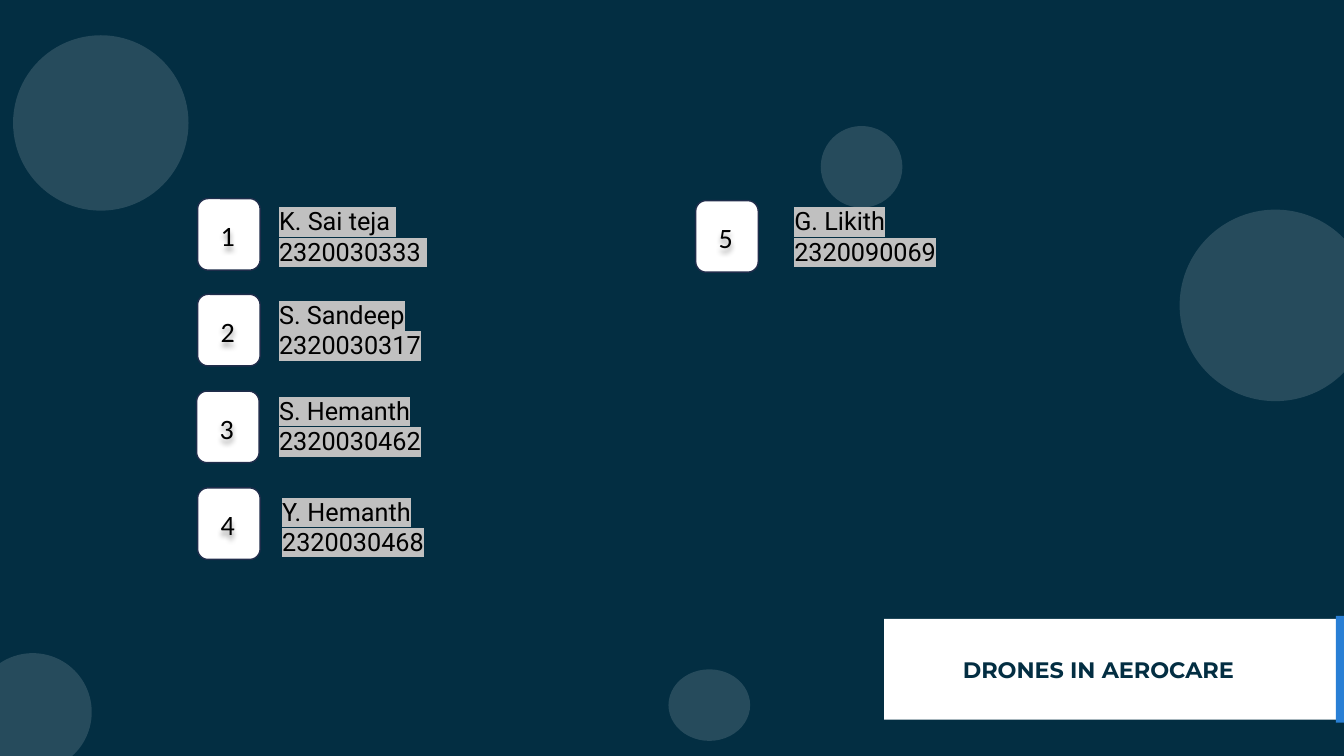
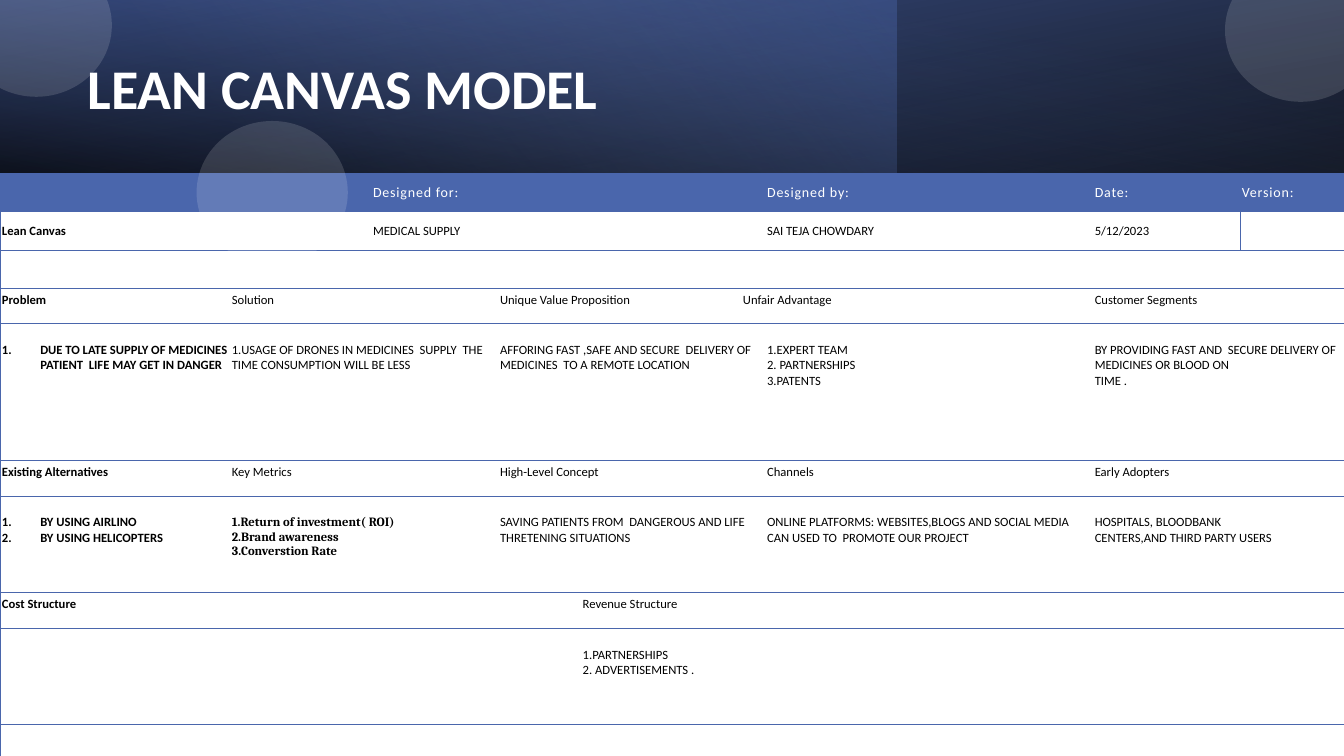
from dataclasses import dataclass
from typing import Optional

from lxml.etree import SubElement
from pptx import Presentation
from pptx.dml.color import RGBColor
from pptx.enum.shapes import MSO_SHAPE
from pptx.enum.text import MSO_ANCHOR
from pptx.oxml.ns import qn
from pptx.shapes.autoshape import Shape
from pptx.slide import Slide
from pptx.table import _Cell
from pptx.text.text import TextFrame
from pptx.util import Inches, Pt


@dataclass(frozen=True)
class Theme:
    navy: str = "032E42"
    outline: str = "202D4B"
    accent: str = "297FD5"
    blue: str = "4A66AC"
    deep_blue: str = "384C81"
    pale_blue: str = "90A2CF"
    white: str = "FFFFFF"
    black: str = "000000"
    highlight: str = "C0C0C0"
    body: str = "Calibri"
    names: str = "Roboto"
    banner: str = "Montserrat"
    metrics: str = "Cambria"
    title_size: float = 40
    number_size: float = 20
    name_size: float = 18
    banner_size: float = 16
    heading_size: float = 10
    cell_size: float = 9
    bubble_alpha: int = 14


THEME = Theme()


@dataclass(frozen=True)
class Box:
    left: float
    top: float
    width: float
    height: float


@dataclass(frozen=True)
class Member:
    lines: tuple[str, str]
    card: tuple[float, float]
    caption: tuple[float, float]


@dataclass(frozen=True)
class Stop:
    position: int
    color: str
    alpha: int


@dataclass(frozen=True)
class Wash:
    width: float
    angle: int
    stops: tuple[Stop, Stop]
    rotation: int = 0
    mirrored: bool = False


@dataclass(frozen=True)
class Entry:
    span: int = 1
    lines: tuple[str, ...] = ()
    bold: bool = False
    numbered: bool = False
    font: str = THEME.body


@dataclass(frozen=True)
class Band:
    height: float
    entries: tuple[Entry, ...]
    kind: str = "label"


MEMBERS = (
    Member(("K. Sai teja ", "2320030333 "), (1.96, 1.97), (2.67, 1.99)),
    Member(("S. Sandeep", "2320030317"), (1.96, 2.92), (2.67, 2.92)),
    Member(("S. Hemanth", "2320030462"), (1.95, 3.88), (2.67, 3.87)),
    Member(("Y. Hemanth", "2320030468"), (1.96, 4.84), (2.7, 4.87)),
    Member(("G. Likith", "2320090069"), (6.9, 1.99), (7.78, 1.99)),
)
TEAM_BUBBLES = (
    Box(6.63, 6.64, 0.81, 0.71),
    Box(0.13, 0.35, 1.74, 1.74),
    Box(8.14, 1.25, 0.81, 0.81),
    Box(11.7, 2.08, 1.9, 1.9),
    Box(-0.26, 6.48, 1.17, 1.17),
)
CANVAS_BUBBLES = tuple(
    Box(left, top, 1.5, 1.42)
    for left, top in ((12.15, -0.41), (-0.39, -0.46), (1.95, 1.2))
)
HEADER_HEIGHT = 1.72
WASHES = (
    Wash(13.33, 100, (Stop(0, THEME.black, 96), Stop(100, THEME.deep_blue, 100)), 180, True),
    Wash(8.89, 140, (Stop(0, THEME.blue, 41), Stop(74, THEME.pale_blue, 0))),
    Wash(13.33, 260, (Stop(0, THEME.black, 63), Stop(78, THEME.blue, 15)), 0, True),
)
COLUMNS = (2.28, 1.4, 1.26, 0.82, 0.82, 0.77, 0.24, 2.33, 0.92, 1.01, 0.45, 1.04)
BANDS = (
    Band(0.37, (
        Entry(), Entry(), Entry(5, ("Designed for:",)), Entry(2, ("Designed by:",)),
        Entry(2, ("Date:",)), Entry(1, ("Version:",)),
    ), "heading"),
    Band(0.35, (
        Entry(2, ("Lean Canvas",), True), Entry(3, ("MEDICAL SUPPLY",)), Entry(2),
        Entry(1, ("SAI TEJA CHOWDARY",)), Entry(), Entry(1, ("5/12/2023",)),
        Entry(), Entry(),
    ), "details"),
    Band(0.35, (Entry(), Entry(), Entry(5), Entry(2), Entry(3))),
    Band(0.35, (
        Entry(1, ("Problem",), True), Entry(2, ("Solution",)),
        Entry(3, ("Unique Value Proposition",)), Entry(3, ("Unfair Advantage",)),
        Entry(3, ("Customer Segments",)),
    )),
    Band(1.36, (
        Entry(1, ("DUE TO LATE SUPPLY OF MEDICINES PATIENT  LIFE MAY GET IN DANGER",), True, True),
        Entry(2, ("1.USAGE OF DRONES IN MEDICINES  SUPPLY  THE TIME CONSUMPTION WILL BE LESS",)),
        Entry(4, ("AFFORING FAST ,SAFE AND SECURE  DELIVERY OF MEDICINES  TO A REMOTE LOCATION",)),
        Entry(2, ("1.EXPERT TEAM", "2. PARTNERSHIPS", "3.PATENTS")),
        Entry(3, ("BY PROVIDING FAST AND  SECURE DELIVERY OF MEDICINES OR BLOOD ON", "TIME .")),
    ), "content"),
    Band(0.35, (
        Entry(1, ("Existing Alternatives",), True), Entry(2, ("Key Metrics",)),
        Entry(4, ("High-Level Concept",)), Entry(2, ("Channels",)),
        Entry(3, ("Early Adopters",)),
    )),
    Band(0.96, (
        Entry(1, ("BY USING AIRLINO", "BY USING HELICOPTERS"), True, True),
        Entry(2, ("1.Return of investment( ROI)", "2.Brand awareness", "3.Converstion Rate"),
              True, font=THEME.metrics),
        Entry(4, ("SAVING PATIENTS FROM  DANGEROUS AND LIFE", "THRETENING SITUATIONS")),
        Entry(2, ("ONLINE PLATFORMS: WEBSITES,BLOGS AND SOCIAL MEDIA  CAN USED TO  PROMOTE OUR PROJECT",)),
        Entry(3, ("HOSPITALS, BLOODBANK", "CENTERS,AND THIRD PARTY USERS")),
    ), "content"),
    Band(0.35, (Entry(4, ("Cost Structure",), True), Entry(8, ("Revenue Structure",)))),
    Band(0.96, (Entry(4), Entry(8, ("1.PARTNERSHIPS", "2. ADVERTISEMENTS ."))), "content"),
    Band(0.35, (Entry(12),)),
)


def write(frame: TextFrame, lines: tuple[str, ...], font: str, size: float,
          color: str, bold: bool = False) -> None:
    frame.text = "\n".join(lines)
    for paragraph in frame.paragraphs:
        for run in paragraph.runs:
            run.font.name = font
            run.font.size = Pt(size)
            run.font.bold = bold
            run.font.color.rgb = RGBColor.from_string(color)


def add_panel(slide: Slide, preset: MSO_SHAPE, box: Box, fill: str,
              line: Optional[str] = None, alpha: Optional[int] = None) -> Shape:
    panel = slide.shapes.add_shape(
        preset, Inches(box.left), Inches(box.top), Inches(box.width), Inches(box.height))
    panel.shadow.inherit = False
    panel.fill.solid()
    panel.fill.fore_color.rgb = RGBColor.from_string(fill)
    if line:
        panel.line.color.rgb = RGBColor.from_string(line)
        panel.line.width = Pt(1)
    else:
        panel.line.fill.background()
    if alpha is not None:
        color = panel._element.spPr.find(qn("a:solidFill"))[0]
        SubElement(color, qn("a:alpha"), val=str(alpha * 1000))
    return panel


def add_label(slide: Slide, box: Box, lines: tuple[str, ...], font: str, size: float,
              color: str, bold: bool = False) -> Shape:
    label = slide.shapes.add_textbox(
        Inches(box.left), Inches(box.top), Inches(box.width), Inches(box.height))
    label.text_frame.word_wrap = True
    write(label.text_frame, lines, font, size, color, bold)
    return label


def add_bubbles(slide: Slide, bubbles: tuple[Box, ...]) -> None:
    for bubble in bubbles:
        add_panel(slide, MSO_SHAPE.OVAL, bubble, THEME.white, alpha=THEME.bubble_alpha)


def add_slide(deck: Presentation, background: str) -> Slide:
    slide = deck.slides.add_slide(deck.slide_layouts[6])
    slide.background.fill.solid()
    slide.background.fill.fore_color.rgb = RGBColor.from_string(background)
    return slide


def cast_shadow(label: Shape) -> None:
    label.shadow.inherit = False
    effects = label._element.spPr.find(qn("a:effectLst"))
    shadow = SubElement(effects, qn("a:outerShdw"), blurRad="50800", dist="38100",
                        dir="5400000", algn="t", rotWithShape="0")
    color = SubElement(shadow, qn("a:srgbClr"), val=THEME.black)
    SubElement(color, qn("a:alpha"), val="40000")


def highlight(frame: TextFrame) -> None:
    for paragraph in frame.paragraphs:
        for run in paragraph.runs:
            properties = run._r.get_or_add_rPr()
            marker = SubElement(properties, qn("a:highlight"))
            SubElement(marker, qn("a:srgbClr"), val=THEME.highlight)
            properties.find(qn("a:solidFill")).addnext(marker)


def add_member(slide: Slide, number: int, member: Member) -> None:
    left, top = member.card
    add_panel(slide, MSO_SHAPE.ROUNDED_RECTANGLE, Box(left, top, 0.62, 0.71),
              THEME.white, THEME.outline)
    digit = add_label(slide, Box(left + 0.13, top + 0.15, 0.46, 0.44), (str(number),),
                      THEME.body, THEME.number_size, THEME.black)
    cast_shadow(digit)
    caption = add_label(slide, Box(*member.caption, 2, 0.71), member.lines,
                        THEME.names, THEME.name_size, THEME.black)
    highlight(caption.text_frame)


def add_wash(slide: Slide, wash: Wash) -> None:
    panel = add_panel(slide, MSO_SHAPE.RECTANGLE, Box(0, 0, wash.width, HEADER_HEIGHT), THEME.blue)
    panel.rotation = wash.rotation
    properties = panel._element.spPr
    if wash.mirrored:
        properties.find(qn("a:xfrm")).set("flipH", "1")
    solid = properties.find(qn("a:solidFill"))
    gradient = SubElement(properties, qn("a:gradFill"), rotWithShape="1")
    stops = SubElement(gradient, qn("a:gsLst"))
    for stop in wash.stops:
        mark = SubElement(stops, qn("a:gs"), pos=str(stop.position * 1000))
        color = SubElement(mark, qn("a:srgbClr"), val=stop.color)
        SubElement(color, qn("a:alpha"), val=str(stop.alpha * 1000))
    SubElement(gradient, qn("a:lin"), ang=str(wash.angle * 60000), scaled="0")
    properties.replace(solid, gradient)


def set_borders(cell: _Cell, sides: str) -> None:
    properties = cell._tc.get_or_add_tcPr()
    for side in "LRTB":
        border = SubElement(properties, qn(f"a:ln{side}"), w=str(Pt(0.5)))
        if side in sides:
            fill = SubElement(border, qn("a:solidFill"))
            SubElement(fill, qn("a:srgbClr"), val=THEME.blue)
        else:
            SubElement(border, qn("a:noFill"))


def number_lines(frame: TextFrame) -> None:
    for paragraph in frame.paragraphs:
        properties = paragraph._p.get_or_add_pPr()
        properties.set("marL", str(Inches(0.38)))
        properties.set("indent", str(-Inches(0.38)))
        SubElement(properties, qn("a:buAutoNum"), type="arabicPeriod")


def fill_cell(cell: _Cell, entry: Entry, kind: str) -> None:
    heading = kind == "heading"
    cell.margin_left, cell.margin_right = Inches(0.02), Inches(0.01)
    cell.margin_top = Inches(0.19 if kind == "content" else 0.04)
    cell.margin_bottom = Inches(0.04)
    cell.vertical_anchor = MSO_ANCHOR.MIDDLE if kind in ("heading", "details") else MSO_ANCHOR.TOP
    write(cell.text_frame, entry.lines, entry.font,
          THEME.heading_size if heading else THEME.cell_size,
          THEME.white if heading else THEME.black, entry.bold)
    if heading:
        for run in cell.text_frame.paragraphs[0].runs:
            run._r.get_or_add_rPr().set("spc", "60")
    if entry.numbered:
        number_lines(cell.text_frame)


def add_canvas(slide: Slide) -> None:
    canvas = slide.shapes.add_table(
        len(BANDS), len(COLUMNS), 0, Inches(HEADER_HEIGHT), Inches(13.33), Inches(5.78)).table
    canvas.first_row = canvas.horz_banding = False
    for column, width in zip(canvas.columns, COLUMNS):
        column.width = Inches(width)
    last = len(COLUMNS) - 1
    for row, band in enumerate(BANDS):
        canvas.rows[row].height = Inches(band.height)
        start = 0
        for entry in band.entries:
            end = start + entry.span - 1
            for column in range(start, end + 1):
                cell = canvas.cell(row, column)
                version = band.kind == "details" and column >= last - 1
                left = "L" if column == 0 or (version and column == last) else ""
                right = "R" if end == last or version else ""
                set_borders(cell, "TB" + left + right)
                if band.kind == "heading":
                    cell.fill.solid()
                    cell.fill.fore_color.rgb = RGBColor.from_string(THEME.blue)
                else:
                    cell.fill.background()
            origin = canvas.cell(row, start)
            if entry.span > 1:
                origin.merge(canvas.cell(row, end))
            fill_cell(origin, entry, band.kind)
            start = end + 1


def build_team(deck: Presentation) -> None:
    slide = add_slide(deck, THEME.navy)
    banner = add_panel(slide, MSO_SHAPE.RECTANGLE, Box(8.77, 6.14, 4.63, 1), THEME.white)
    frame = banner.text_frame
    frame.margin_left = Inches(0.78)
    frame.vertical_anchor = MSO_ANCHOR.MIDDLE
    write(frame, ("DRONES IN AEROCARE",), THEME.banner, THEME.banner_size, THEME.navy, True)
    frame.paragraphs[0].alignment = 1
    add_panel(slide, MSO_SHAPE.RECTANGLE, Box(13.25, 6.11, 0.11, 1.06), THEME.accent)
    add_bubbles(slide, TEAM_BUBBLES)
    for number, member in enumerate(MEMBERS, 1):
        add_member(slide, number, member)


def build_canvas(deck: Presentation) -> None:
    slide = add_slide(deck, THEME.white)
    for wash in WASHES:
        add_wash(slide, wash)
    title = add_label(slide, Box(0.77, 0.27, 7.72, 1.27), ("LEAN CANVAS MODEL",),
                      THEME.body, THEME.title_size, THEME.white, True)
    title.text_frame.vertical_anchor = MSO_ANCHOR.MIDDLE
    title.text_frame.paragraphs[0].line_spacing = 0.9
    add_canvas(slide)
    add_bubbles(slide, CANVAS_BUBBLES)


def main() -> None:
    deck = Presentation()
    deck.slide_width, deck.slide_height = Inches(13.33), Inches(7.5)
    build_team(deck)
    build_canvas(deck)
    deck.save("out.pptx")


if __name__ == "__main__":
    main()
